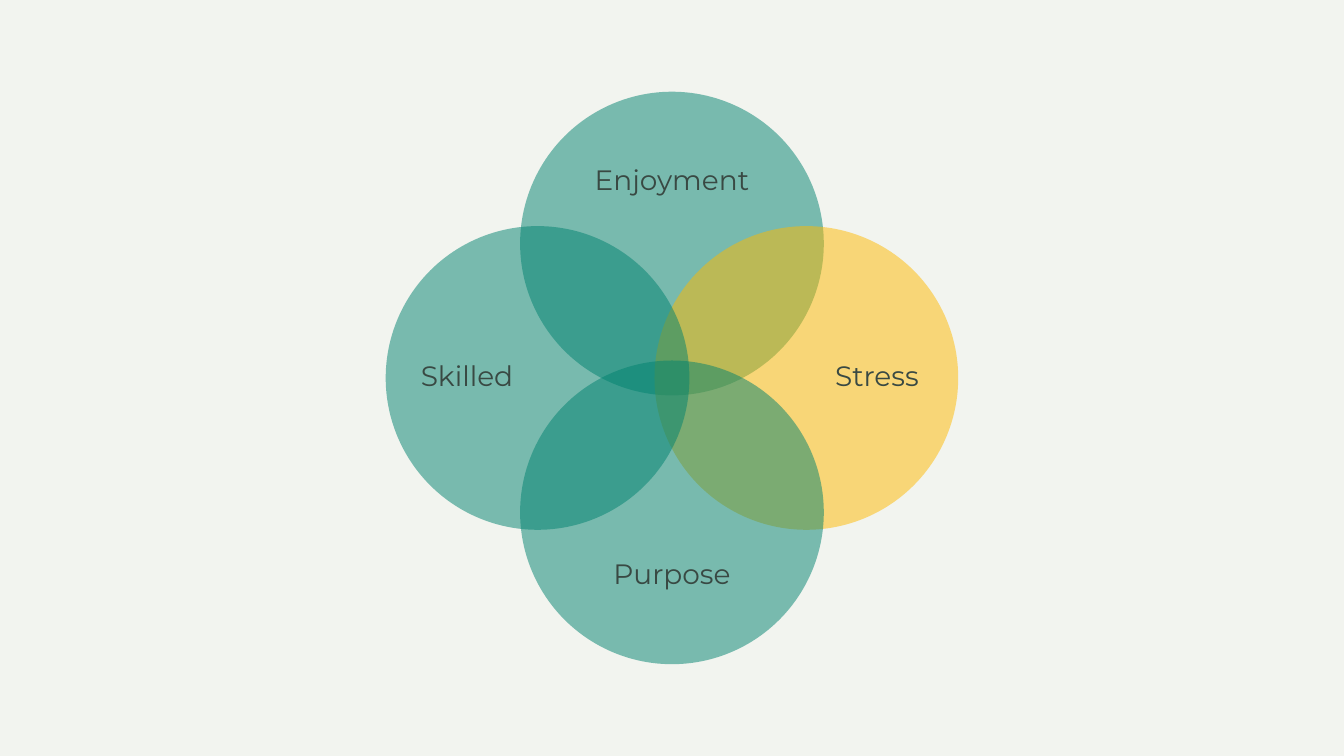
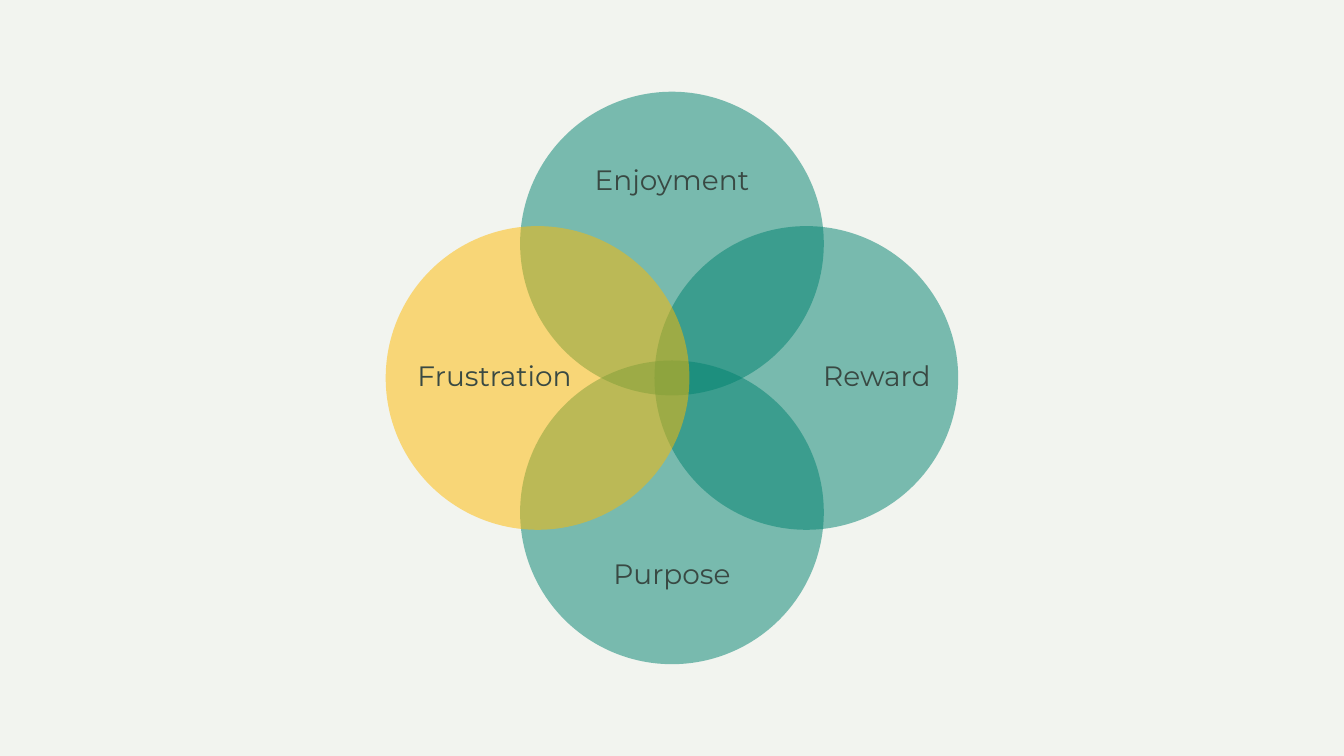
"""Build two four-circle Venn slides about what makes work fulfilling."""

from typing import NamedTuple

from lxml.etree import SubElement
from pptx import Presentation
from pptx.dml.color import RGBColor
from pptx.enum.shapes import MSO_SHAPE as Shape
from pptx.enum.text import MSO_ANCHOR as Anchor, PP_ALIGN as Align
from pptx.oxml.ns import qn
from pptx.shapes.autoshape import Shape as AutoShape
from pptx.shapes.shapetree import GroupShapes
from pptx.slide import Slide
from pptx.util import Inches, Pt

PAPER = RGBColor(0xF2, 0xF4, 0xEF)
TEAL = RGBColor(0x00, 0x82, 0x6F)
AMBER = RGBColor(0xFF, 0xB9, 0x00)
INK = RGBColor(0x39, 0x49, 0x43)
FONT = "Montserrat"

SLIDE_WIDTH = 10
SLIDE_HEIGHT = SLIDE_WIDTH * 9 / 16
CENTER_X, CENTER_Y = SLIDE_WIDTH / 2, SLIDE_HEIGHT / 2
DIAMETER = 2.26
OPACITY = 50
LABEL_LONG, LABEL_SHORT = 1.74, 0.72
SIDE_WIDTH = 0.87
SIDE_TOP = CENTER_Y - LABEL_LONG / 2


class Place(NamedTuple):
    across: int
    down: int
    label_left: float
    label_top: float
    label_width: float
    label_height: float


class Circle(NamedTuple):
    label: str
    place: Place
    color: RGBColor = TEAL


TOP = Place(0, -1, CENTER_X - LABEL_LONG / 2, 0.99, LABEL_LONG, LABEL_SHORT)
RIGHT = Place(1, 0, 6.09, SIDE_TOP, SIDE_WIDTH, LABEL_LONG)
BOTTOM = TOP._replace(down=1, label_top=3.92)
LEFT = Place(-1, 0, 3.04, SIDE_TOP, SIDE_WIDTH, LABEL_LONG)
WIDE_LEFT = LEFT._replace(label_width=1.28)

ENJOYMENT = Circle("Enjoyment", TOP)
PURPOSE = Circle("Purpose", BOTTOM)

DIAGRAMS = [
    [ENJOYMENT, Circle("Stress", RIGHT, AMBER), PURPOSE, Circle("Skilled", LEFT)],
    [ENJOYMENT, Circle("Reward", RIGHT), PURPOSE, Circle("Frustration", WIDE_LEFT, AMBER)],
]


def set_opacity(shape: AutoShape, percent: int) -> None:
    """Make the solid fill of a shape translucent."""
    color = shape.fill._xPr.find(qn("a:solidFill"))[0]
    SubElement(color, qn("a:alpha"), val=str(percent * 1000))


def draw_disc(shapes: GroupShapes, circle: Circle) -> None:
    """Draw the translucent disc, one inch from the centre of the diagram."""
    left = CENTER_X + circle.place.across - DIAMETER / 2
    top = CENTER_Y + circle.place.down - DIAMETER / 2
    disc = shapes.add_shape(
        Shape.OVAL, Inches(left), Inches(top), Inches(DIAMETER), Inches(DIAMETER)
    )
    disc.shadow.inherit = False
    disc.line.fill.background()
    disc.fill.solid()
    disc.fill.fore_color.rgb = circle.color
    set_opacity(disc, OPACITY)


def draw_label(shapes: GroupShapes, circle: Circle) -> None:
    """Write the name of a circle in the part it shares least."""
    place = circle.place
    box = shapes.add_textbox(
        Inches(place.label_left),
        Inches(place.label_top),
        Inches(place.label_width),
        Inches(place.label_height),
    )
    frame = box.text_frame
    frame.text = circle.label
    frame.word_wrap = True
    frame.vertical_anchor = Anchor.MIDDLE
    frame.margin_left = frame.margin_right = Inches(0)
    frame.margin_top = frame.margin_bottom = Inches(0)
    para = frame.paragraphs[0]
    para.alignment = Align.CENTER
    para.line_spacing = 0.9
    font = para.runs[0].font
    font.name = FONT
    font.size = Pt(15)
    font.color.rgb = INK


def draw_diagram(page: Slide, circles: list[Circle]) -> None:
    """Draw the grouped circles and their labels, from back to front."""
    shapes = page.shapes.add_group_shape().shapes
    for circle in circles:
        draw_disc(shapes, circle)
        draw_label(shapes, circle)


def main() -> None:
    """Create the deck and save it."""
    deck = Presentation()
    deck.slide_width = Inches(SLIDE_WIDTH)
    deck.slide_height = Inches(SLIDE_HEIGHT)
    background = deck.slide_master.background.fill
    background.solid()
    background.fore_color.rgb = PAPER
    blank = deck.slide_layouts.get_by_name("Blank")
    for circles in DIAGRAMS:
        draw_diagram(deck.slides.add_slide(blank), circles)
    deck.save("out.pptx")


if __name__ == "__main__":
    main()
